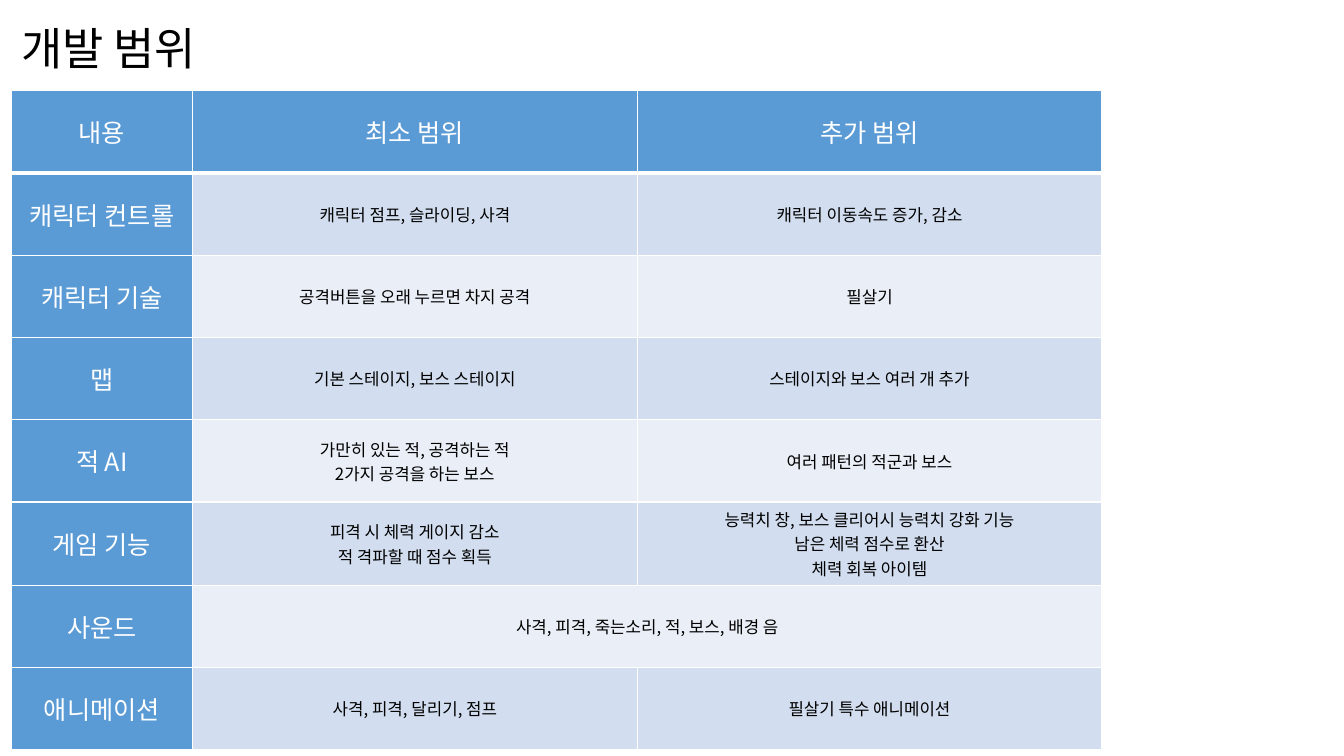
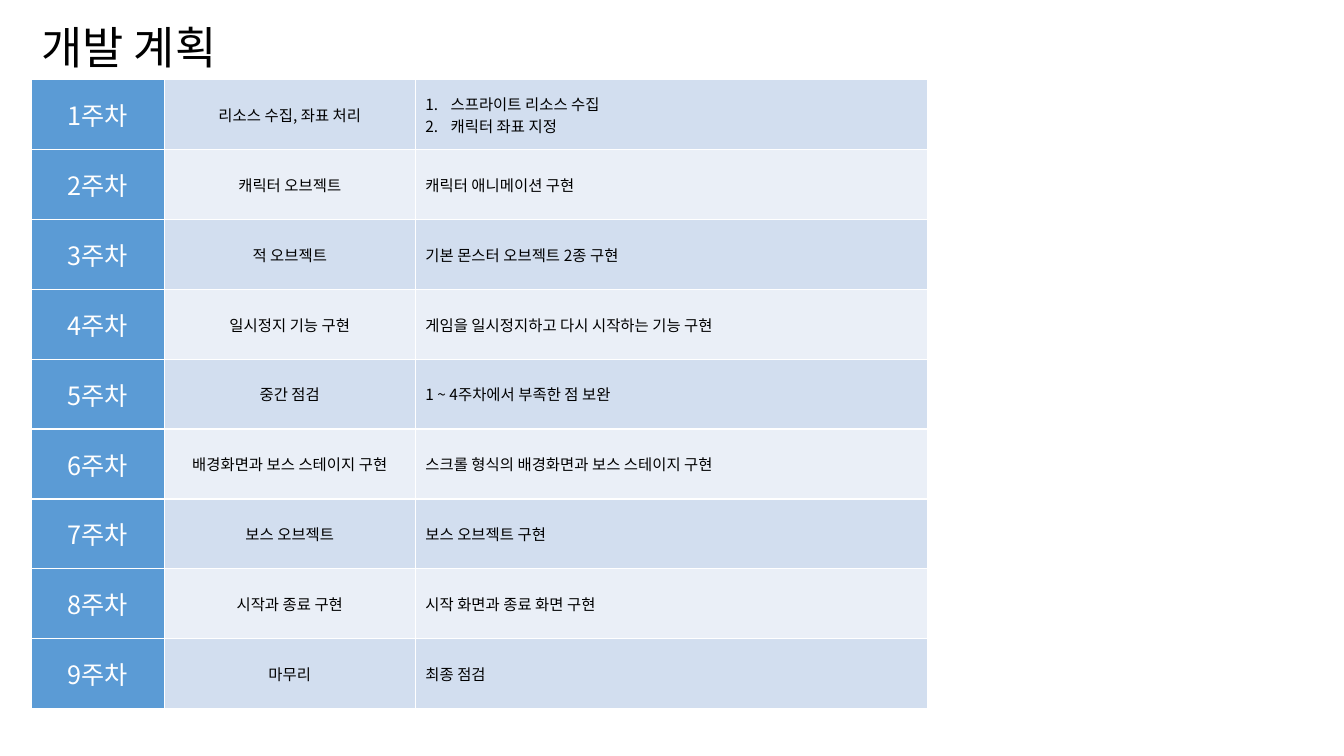
from pptx import Presentation
from pptx.dml.color import RGBColor
from pptx.enum.text import MSO_ANCHOR as Anchor, MSO_AUTO_SIZE as AutoSize, PP_ALIGN as Align
from pptx.oxml.ns import qn
from pptx.util import Inches, Pt
from lxml.etree import SubElement


def color(value):
    return RGBColor.from_string(value)


class Deck:
    FONT = "Noto Sans CJK KR"
    BLACK, WHITE = "000000", "FFFFFF"
    ACCENT = "5B9BD5"
    BANDS = ("D2DEEF", "EAEFF7")
    TITLE_SIZE, HEADING_SIZE = 32, 18

    def __init__(self):
        self.file = Presentation()
        self.file.slide_width = Inches(13.33)
        self.file.slide_height = Inches(7.5)
        self.page = None

    def add_page(self, title, left, top, width):
        self.page = self.file.slides.add_slide(self.file.slide_layouts[5])
        box = self.page.shapes.title
        box.left, box.top = Inches(left), Inches(top)
        box.width, box.height = Inches(width), Inches(0.64)
        frame = box.text_frame
        frame.text = title
        frame.word_wrap = True
        frame.auto_size = AutoSize.NONE
        frame.vertical_anchor = Anchor.TOP
        self.format_text(frame, self.TITLE_SIZE, self.BLACK, Align.LEFT)

    def format_text(self, frame, size, ink, align):
        for para in frame.paragraphs:
            para.alignment = align
            for span in para.runs:
                span.font.name = self.FONT
                span.font.size = Pt(size)
                span.font.bold = False
                span.font.color.rgb = color(ink)
                SubElement(span.font._element, qn("a:ea"), typeface=self.FONT)

    def add_table(self, rows, left, top, widths, height, size, header=False, last_align=Align.CENTER):
        frame = self.page.shapes.add_table(
            len(rows), len(widths), Inches(left), Inches(top), Inches(sum(widths)), Inches(height))
        table = frame.table
        table.first_row, table.first_col = header, True
        for column, width in zip(table.columns, widths):
            column.width = Inches(width)
        for row in table.rows:
            row.height = Inches(height / len(rows))
        for i, texts in enumerate(rows):
            for j, text in enumerate(texts):
                cell = table.cell(i, j)
                is_header = header and i == 0
                is_heading = is_header or j == 0
                fill = self.ACCENT if is_heading else self.BANDS[(i - header) % 2]
                self.style_cell(cell, fill,
                                top=3 if header and i == 1 else 1,
                                bottom=3 if is_header else 1)
                if text is None:
                    table.cell(i, j - 1).merge(cell)
                    continue
                cell.text_frame.text = text
                is_last = j == len(widths) - 1
                self.format_text(cell.text_frame,
                                 self.HEADING_SIZE if is_heading else size,
                                 self.WHITE if is_heading else self.BLACK,
                                 last_align if is_last else Align.CENTER)
        return table

    def style_cell(self, cell, fill, top, bottom):
        cell.vertical_anchor = Anchor.MIDDLE
        props = cell._tc.get_or_add_tcPr()
        for side, width in (("L", 1), ("R", 1), ("T", top), ("B", bottom)):
            line = SubElement(props, qn("a:ln" + side), w=str(Pt(width)))
            SubElement(SubElement(line, qn("a:solidFill")), qn("a:srgbClr"), val=self.WHITE)
        cell.fill.solid()
        cell.fill.fore_color.rgb = color(fill)

    def number_paragraphs(self, cell):
        indent = Inches(0.25)
        for para in cell.text_frame.paragraphs:
            props = para._p.get_or_add_pPr()
            props.set("marL", str(indent))
            props.set("indent", str(-indent))
            SubElement(props, qn("a:buAutoNum"), type="arabicPeriod")

    def save(self):
        self.file.save("out.pptx")


SCOPE = [
    ("내용", "최소 범위", "추가 범위"),
    ("캐릭터 컨트롤", "캐릭터 점프, 슬라이딩, 사격", "캐릭터 이동속도 증가, 감소"),
    ("캐릭터 기술", "공격버튼을 오래 누르면 차지 공격", "필살기"),
    ("맵", "기본 스테이지, 보스 스테이지", "스테이지와 보스 여러 개 추가"),
    ("적 AI", "가만히 있는 적, 공격하는 적\n2가지 공격을 하는 보스", "여러 패턴의 적군과 보스"),
    ("게임 기능", "피격 시 체력 게이지 감소\n적 격파할 때 점수 획득",
     "능력치 창, 보스 클리어시 능력치 강화 기능\n남은 체력 점수로 환산\n체력 회복 아이템"),
    ("사운드", "사격, 피격, 죽는소리, 적, 보스, 배경 음", None),
    ("애니메이션", "사격, 피격, 달리기, 점프", "필살기 특수 애니메이션"),
]

PLAN = [
    ("리소스 수집, 좌표 처리", "스프라이트 리소스 수집\n캐릭터 좌표 지정"),
    ("캐릭터 오브젝트", "캐릭터 애니메이션 구현"),
    ("적 오브젝트", "기본 몬스터 오브젝트 2종 구현"),
    ("일시정지 기능 구현", "게임을 일시정지하고 다시 시작하는 기능 구현"),
    ("중간 점검", "1 ~ 4주차에서 부족한 점 보완"),
    ("배경화면과 보스 스테이지 구현", "스크롤 형식의 배경화면과 보스 스테이지 구현"),
    ("보스 오브젝트", "보스 오브젝트 구현"),
    ("시작과 종료 구현", "시작 화면과 종료 화면 구현"),
    ("마무리", "최종 점검"),
]


def main():
    deck = Deck()

    deck.add_page("개발 범위", 0.11, 0.16, 7.22)
    deck.add_table(SCOPE, 0.11, 0.9, (1.8, 4.41, 4.61), 6.53, size=12, header=True)

    deck.add_page("개발 계획", 0.31, 0.15, 2.27)
    weeks = [(f"{week}주차", *texts) for week, texts in enumerate(PLAN, 1)]
    plan = deck.add_table(weeks, 0.31, 0.79, (1.32, 2.49, 5.08), 6.24, size=11, last_align=Align.LEFT)
    deck.number_paragraphs(plan.cell(0, 2))

    deck.save()


if __name__ == "__main__":
    main()
